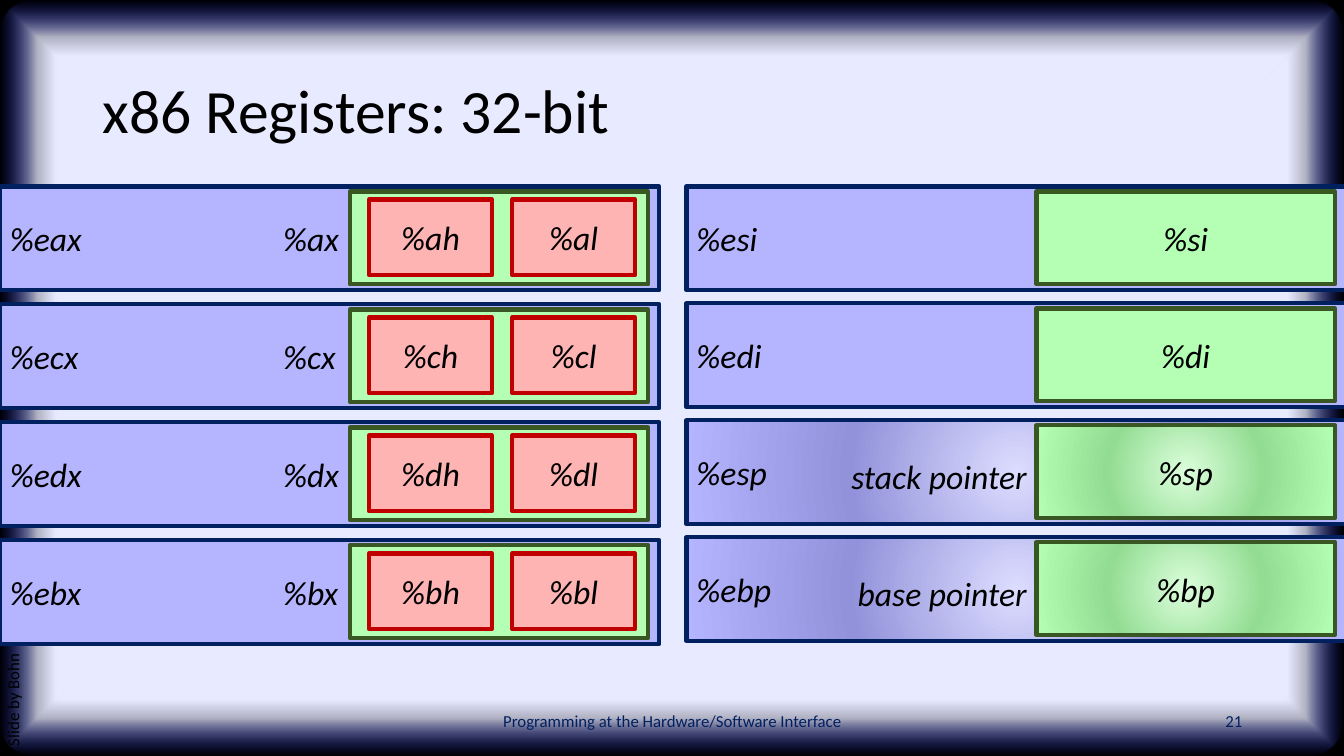
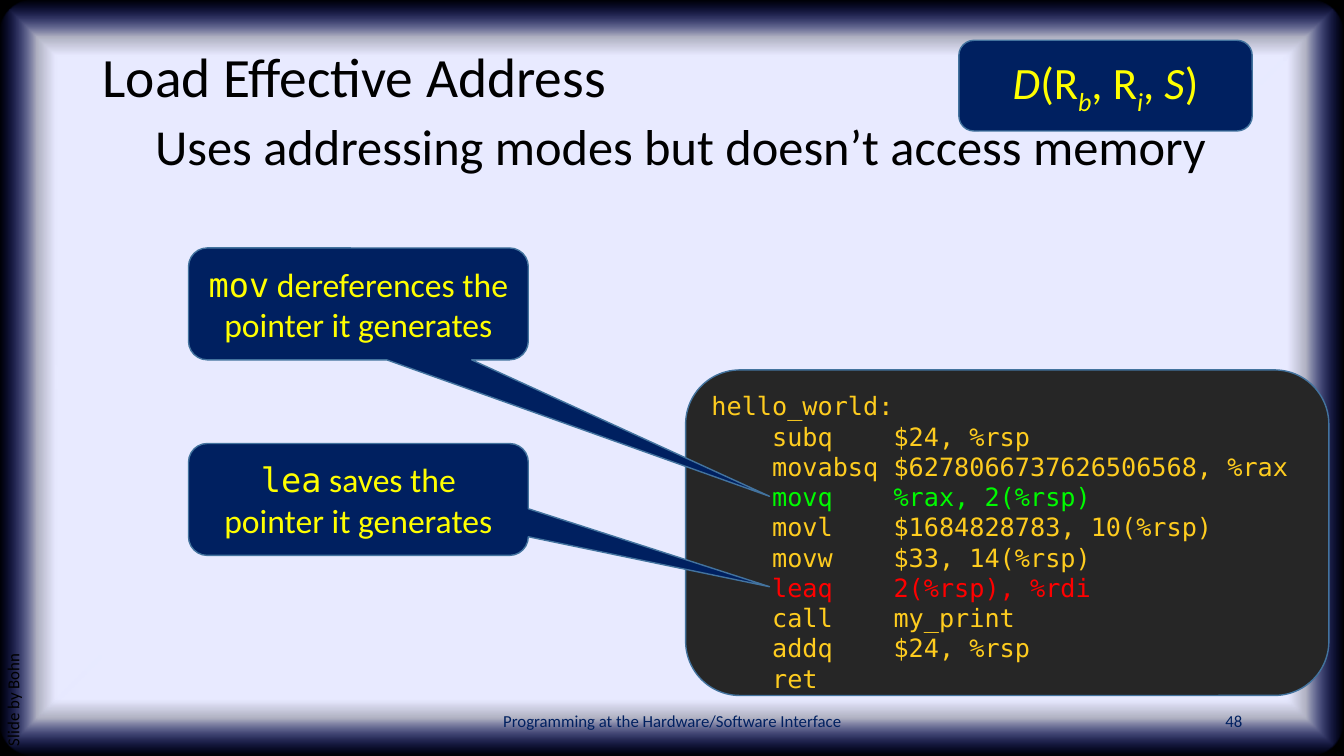
import pptx
import pptx.util
import pptx.dml.color
import pptx.enum.shapes
import pptx.enum.text
import pptx.oxml
import pptx.oxml.ns
from dataclasses import dataclass, field
from typing import Optional, Union

Inches = pptx.util.Inches
SHAPE = pptx.enum.shapes.MSO_SHAPE
ALIGN = pptx.enum.text.PP_ALIGN
ANCHOR = pptx.enum.text.MSO_ANCHOR

COLORS = {
    "black": "000000", "navy": "002060", "yellow": "FFFF00", "outline": "43739E",
    "blue": "B4B4FF", "green": "B4FFB4", "red": "FFB4B4",
    "green_line": "385723", "red_line": "C00000",
    "panel": "262626", "code": "FECC1F", "code_mov": "00FA00", "code_lea": "FF0000",
    "paper": "E8EAFF", "rim": "162AFF",
    "blue_light": "DCDCFF", "blue_mid": "9292DB",
    "green_light": "DCFFDC", "green_mid": "93DC93",
}
SANS, MONO = "Calibri", "DejaVu Sans Mono"
SLIDE_W, SLIDE_H = 13.33, 7.5


@dataclass
class Stop:
    pos: int
    color: str
    alpha: int = 100


@dataclass
class Gradient:
    kind: str
    stops: list[Stop]


@dataclass
class Run:
    text: str
    size: float = 24
    color: str = "black"
    name: str = SANS
    italic: bool = False
    baseline: int = 0


@dataclass
class Para:
    runs: list[Run]
    fmt: dict = field(default_factory=dict)
    indent: float = 0


@dataclass
class Box:
    x: float
    y: float
    w: float
    h: float
    paras: list[Para] = field(default_factory=list)
    shape: Optional[SHAPE] = None
    fill: Union[str, Gradient] = "navy"
    line: Optional[str] = None
    line_w: float = 1
    adj: tuple[float, ...] = ()
    align: ALIGN = ALIGN.LEFT
    anchor: ANCHOR = ANCHOR.MIDDLE
    rotation: float = 0
    wrap: bool = True


BACKDROP = Gradient("shape", [Stop(85, "paper"), Stop(90, "paper", 75), Stop(100, "rim", 0)])
BLUE_GLOW = Gradient("circle", [Stop(0, "blue_light"), Stop(50, "blue_mid"), Stop(100, "blue")])
GREEN_GLOW = Gradient("circle", [Stop(0, "green_light"), Stop(50, "green_mid"), Stop(100, "green")])


def rgb(key: str) -> pptx.dml.color.RGBColor:
    return pptx.dml.color.RGBColor.from_string(COLORS[key])


def set_gradient(sp, grad: Gradient) -> None:
    stops = "".join(
        f'<a:gs pos="{s.pos * 1000}"><a:srgbClr val="{COLORS[s.color]}">'
        f'<a:alpha val="{s.alpha * 1000}"/></a:srgbClr></a:gs>'
        for s in grad.stops)
    xml = (f'<a:gradFill {pptx.oxml.ns.nsdecls("a")} rotWithShape="1"><a:gsLst>{stops}</a:gsLst>'
           f'<a:path path="{grad.kind}">'
           '<a:fillToRect l="50000" t="50000" r="50000" b="50000"/></a:path></a:gradFill>')
    sp.fill.background()
    spPr = sp._element.spPr
    spPr.replace(spPr.find(pptx.oxml.ns.qn("a:noFill")), pptx.oxml.parse_xml(xml))


def add_run(p, run: Run) -> None:
    fmt = {"size": pptx.util.Pt(run.size), "name": run.name, "italic": run.italic}
    for i, text in enumerate(run.text.split("\n")):
        if i:
            p.add_line_break()
        r = p.add_run()
        r.text = text
        for key, value in fmt.items():
            setattr(r.font, key, value)
        r.font.color.rgb = rgb(run.color)
        if run.baseline:
            r._r.get_or_add_rPr().set("baseline", str(run.baseline * 1000))


def draw(s, box: Box) -> None:
    at = [Inches(v) for v in (box.x, box.y, box.w, box.h)]
    if box.shape is None:
        sp = s.shapes.add_textbox(*at)
    else:
        sp = s.shapes.add_shape(box.shape, *at)
        sp.shadow.inherit = False
        for i, value in enumerate(box.adj):
            sp.adjustments[i] = value
        if isinstance(box.fill, Gradient):
            set_gradient(sp, box.fill)
        else:
            sp.fill.solid()
            sp.fill.fore_color.rgb = rgb(box.fill)
        if box.line:
            sp.line.color.rgb = rgb(box.line)
            sp.line.width = pptx.util.Pt(box.line_w)
        else:
            sp.line.fill.background()
    sp.rotation = box.rotation
    tf = sp.text_frame
    for key, value in {"word_wrap": box.wrap, "vertical_anchor": box.anchor}.items():
        setattr(tf, key, value)
    for i, para in enumerate(box.paras):
        p = tf.add_paragraph() if i else tf.paragraphs[0]
        for key, value in {"alignment": box.align, **para.fmt}.items():
            setattr(p, key, value)
        if para.indent:
            p._p.get_or_add_pPr().set("marL", str(Inches(para.indent)))
        for run in para.runs:
            add_run(p, run)


def add_base(prs, number: int, title: list[Para]):
    s = prs.slides.add_slide(prs.slide_layouts[6])
    footer = {"size": 12, "color": "navy"}
    for box in (
        Box(0, 0, SLIDE_W, SLIDE_H, shape=SHAPE.RECTANGLE, fill="black"),
        Box(0, 0, SLIDE_W, SLIDE_H, shape=SHAPE.ROUNDED_RECTANGLE, fill=BACKDROP, adj=(0.048,)),
        Box(0.92, 0.4, 11.5, 1.45, title),
        Box(4.42, 6.95, 4.5, 0.4,
            [Para([Run("Programming at the Hardware/Software Interface", **footer)])],
            align=ALIGN.CENTER),
        Box(9.42, 6.95, 3, 0.4, [Para([Run(str(number), **footer)])], align=ALIGN.RIGHT),
        Box(-2.44, 4.66, 5.28, 0.4,
            [Para([Run("Slide by Bohn", size=12)], {"line_spacing": 0.9})],
            anchor=ANCHOR.TOP, rotation=270),
    ):
        draw(s, box)
    return s


def label(text: str) -> list[Para]:
    return [Para([Run(text, italic=True)])]


def register(s, x: float, y: float, w: float, h: float, text: str,
             fill: Union[str, Gradient], line: str, align: ALIGN = ALIGN.CENTER) -> None:
    draw(s, Box(x, y, w, h, label(text) if text else [], SHAPE.RECTANGLE, fill, line, 3,
                align=align))


def wide_register(s, x: float, y: float, text: str, low: str, glow: bool = False) -> None:
    register(s, x, y, 6.54, 1.03, text, BLUE_GLOW if glow else "blue", "navy", ALIGN.LEFT)
    register(s, x + 3.47, y + 0.05, 2.96, 0.92, low, GREEN_GLOW if glow else "green", "green_line")


def registers_slide(prs) -> None:
    s = add_base(prs, 21, [Para([Run("x86 Registers: 32-bit", size=44)], {"line_spacing": 0.9})])
    for i, letter in enumerate("acdb"):
        y = 1.85 + 1.17 * i
        wide_register(s, 0, y, f"%e{letter}x", "")
        draw(s, Box(2.71, y + 0.26, 0.76, 0.5, label(f"%{letter}x"),
                    anchor=ANCHOR.TOP, wrap=False))
        for x, half in ((3.66, "h"), (5.08, "l")):
            register(s, x, y + 0.13, 1.22, 0.75, f"%{letter}{half}", "red", "red_line")
    roles = {"si": "", "di": "", "sp": "stack pointer", "bp": "base pointer"}
    for i, (low, role) in enumerate(roles.items()):
        y = 1.85 + 1.16 * i
        wide_register(s, 6.81, y, f"%e{low}", f"%{low}", bool(role))
        if role:
            draw(s, Box(8.08, y + 0.3, 2.2, 0.5, label(role), align=ALIGN.RIGHT,
                        anchor=ANCHOR.TOP))


CODE = """hello_world:
    subq    $24, %rsp
    movabsq $6278066737626506568, %rax
    movq    %rax, 2(%rsp)
    movl    $1684828783, 10(%rsp)
    movw    $33, 14(%rsp)
    leaq    2(%rsp), %rdi
    call    my_print
    addq    $24, %rsp
    ret"""
HIGHLIGHTS = {"movq": "code_mov", "leaq": "code_lea"}


def address_slide(prs) -> None:
    s = add_base(prs, 48, [
        Para([Run("Load Effective Address", size=39.6)], {"line_spacing": 0.9}),
        Para([Run("Uses addressing modes but doesn’t access memory", size=36)],
             {"line_spacing": 0.9, "space_before": pptx.util.Pt(9)}, indent=0.52),
    ])
    formula = [("D", True, 0), ("(R", False, 0), ("b", True, -25), (", R", False, 0),
               ("i", True, -25), (", ", False, 0), ("S", True, 0), (")", False, 0)]
    draw(s, Box(9.51, 0.4, 2.91, 0.9,
                [Para([Run(text, 32, "yellow", italic=italic, baseline=base)
                       for text, italic, base in formula])],
                SHAPE.ROUNDED_RECTANGLE, line="outline", align=ALIGN.CENTER))
    code = [Para([Run(text, 18, HIGHLIGHTS.get(text.split()[0], "code"), MONO)])
            for text in CODE.split("\n")]
    draw(s, Box(6.8, 3.67, 6.38, 3.23, code, SHAPE.ROUNDED_RECTANGLE, "panel", "outline",
                anchor=ANCHOR.TOP))
    for y, op, text, tip in (
        (2.46, "mov", " dereferences the\npointer it generates", (1.21, 1.72)),
        (4.4, "lea", " saves the\npointer it generates", (1.21, 0.78)),
    ):
        draw(s, Box(1.87, y, 3.37, 1.11,
                    [Para([Run(op, color="yellow", name=MONO), Run(text, color="yellow")])],
                    SHAPE.ROUNDED_RECTANGULAR_CALLOUT, line="outline", adj=(*tip, 0.167),
                    align=ALIGN.CENTER))


def main() -> None:
    prs = pptx.Presentation()
    prs.slide_width, prs.slide_height = Inches(SLIDE_W), Inches(SLIDE_H)
    registers_slide(prs)
    address_slide(prs)
    prs.save("out.pptx")


if __name__ == "__main__":
    main()
